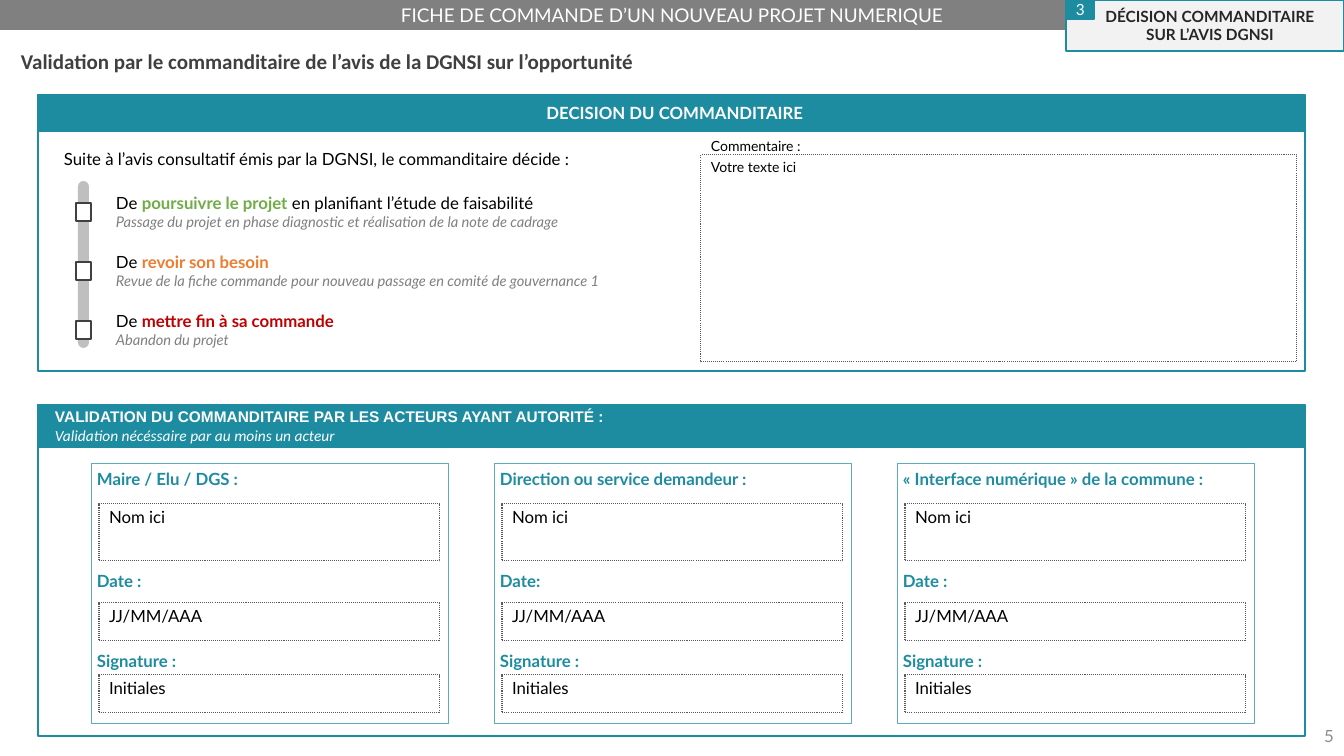
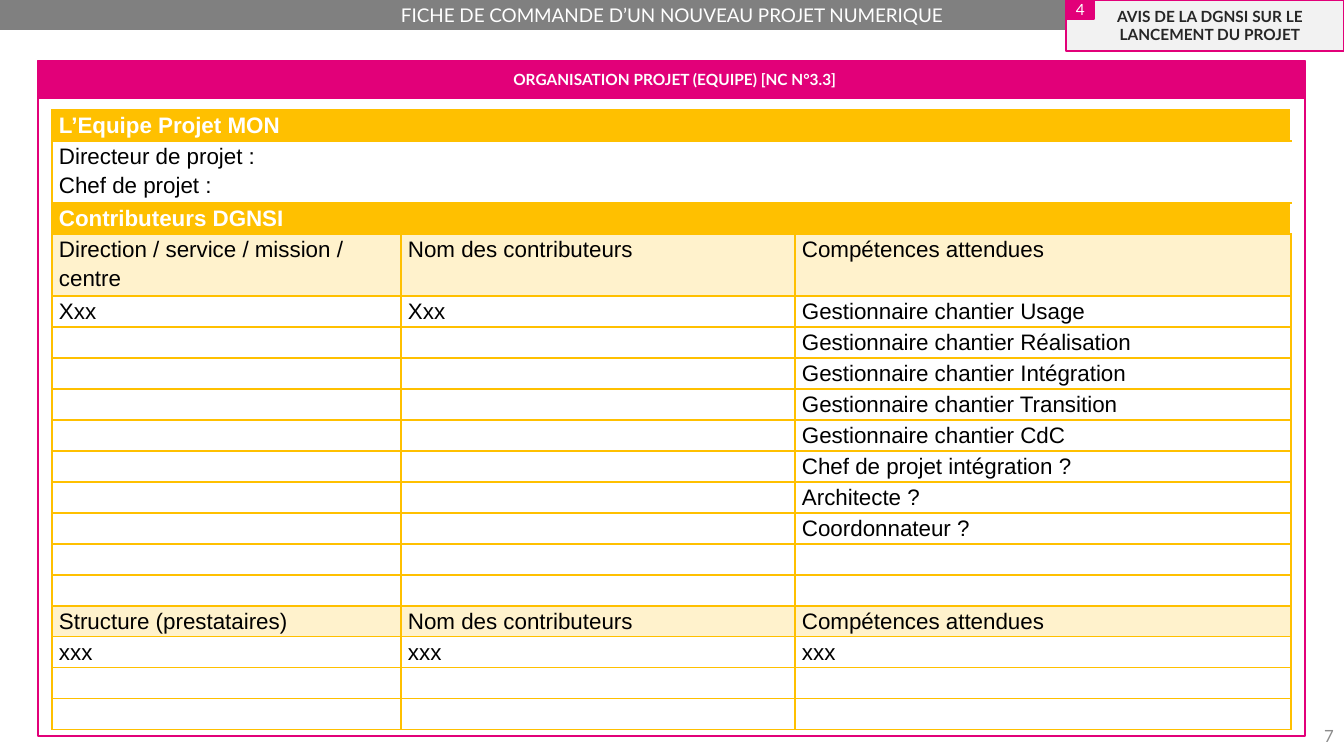
from lxml import etree
from pptx import Presentation
from pptx.dml.color import RGBColor
from pptx.enum.dml import MSO_LINE
from pptx.enum.shapes import MSO_SHAPE
from pptx.enum.text import MSO_ANCHOR, PP_ALIGN
from pptx.oxml.ns import qn
from pptx.util import Pt

RECT, ROUNDED = MSO_SHAPE.RECTANGLE, MSO_SHAPE.ROUNDED_RECTANGLE
TOP, MIDDLE = MSO_ANCHOR.TOP, MSO_ANCHOR.MIDDLE
LEFT, CENTER, RIGHT = PP_ALIGN.LEFT, PP_ALIGN.CENTER, PP_ALIGN.RIGHT
DOTTED = MSO_LINE.ROUND_DOT

WHITE = RGBColor(0xFF, 0xFF, 0xFF)
BLACK = RGBColor(0, 0, 0)
INK = RGBColor(0x26, 0x26, 0x26)
DARK = RGBColor(0x40, 0x40, 0x40)
FIELD_LINE = RGBColor(0x59, 0x59, 0x59)
GREY = RGBColor(0x80, 0x80, 0x80)
PAGE_GREY = RGBColor(0x8C, 0x8C, 0x8C)
RAIL_GREY = RGBColor(0xBF, 0xBF, 0xBF)
PALE_GREY = RGBColor(0xF2, 0xF2, 0xF2)
TEAL = RGBColor(0x1D, 0x8C, 0xA1)
LIGHT_TEAL = RGBColor(0x5D, 0xAC, 0xBC)
PINK = RGBColor(0xE2, 0x00, 0x79)
GREEN = RGBColor(0x70, 0xAD, 0x47)
ORANGE = RGBColor(0xED, 0x7D, 0x31)
RED = RGBColor(0xC0, 0x00, 0x00)
GOLD = RGBColor(0xFF, 0xC0, 0x00)
PALE_GOLD = RGBColor(0xFF, 0xF2, 0xCC)

SLIDE_W, SLIDE_H = 1344, 756
EMU_PER_PX = 12192000 / SLIDE_W
PANEL_X, PANEL_W, PANEL_BOTTOM = 38, 1267, 736
TIGHT = (3, 3, 3, 3)
ROW_H = 31

OPTIONS = [
    ("poursuivre le projet", GREEN, " en planifiant l’étude de faisabilité",
     "Passage du projet en phase diagnostic et réalisation de la note de cadrage"),
    ("revoir son besoin", ORANGE, "",
     "Revue de la fiche commande pour nouveau passage en comité de gouvernance 1"),
    ("mettre fin à sa commande", RED, "", "Abandon du projet"),
]
SIGNATORIES = [
    ("Maire / Elu / DGS :", "Date :"),
    ("Direction ou service demandeur :", "Date:"),
    ("« Interface numérique » de la commune :", "Date :"),
]
FIELDS = [("Nom ici", 504, 57), ("JJ/MM/AAA", 603, 38), ("Initiales", 675, 38)]

BLANK_ROW = ["", "", ""]
SKILLS = [
    "Gestionnaire chantier Réalisation", "Gestionnaire chantier Intégration",
    "Gestionnaire chantier Transition", "Gestionnaire chantier CdC",
    "Chef de projet intégration ?", "Architecte ?", "Coordonnateur ?", "", "",
]
# Each row is a fill and its texts; a single text spans the table.
TEAM_ROWS = [
    (GOLD, ["L’Equipe Projet MON"]),
    (WHITE, ["Directeur de projet :\nChef de projet :"]),
    (GOLD, ["Contributeurs DGNSI"]),
    (PALE_GOLD, ["Direction / service / mission / centre", "Nom des contributeurs",
                 "Compétences attendues"]),
    (WHITE, ["Xxx", "Xxx", "Gestionnaire chantier Usage"]),
    *[(WHITE, ["", "", skill]) for skill in SKILLS],
    (PALE_GOLD, ["Structure (prestataires)", "Nom des contributeurs",
                 "Compétences attendues"]),
    (WHITE, ["xxx", "xxx", "xxx"]),
    (WHITE, BLANK_ROW),
    (WHITE, BLANK_ROW),
]
TALL_ROWS = (1, 3)


def px(n):
    return round(n * EMU_PER_PX)


def write(tf, text, size=12, color=BLACK, bold=False, italic=False, font="Lato",
          align=LEFT, before=0, spacing=None):
    """Add a paragraph; text is a string or a list of (string, colour, bold) runs."""
    p = tf.paragraphs[0]
    if p.runs:
        p = tf.add_paragraph()
    p.alignment = align
    if before:
        p.space_before = Pt(before)
    if spacing:
        p.line_spacing = spacing
    runs = [(text, color, bold)] if isinstance(text, str) else text
    for content, run_color, run_bold in runs:
        if not content:
            continue
        r = p.add_run()
        r.text = content
        r.font.name, r.font.size = font, Pt(size)
        r.font.bold, r.font.italic = run_bold, italic
        r.font.color.rgb = run_color
    if not p.runs:
        etree.SubElement(p._p, qn("a:endParaRPr"), sz=str(size * 100))


def frame_text(sp, anchor, insets):
    tf = sp.text_frame
    tf.word_wrap = True
    tf.vertical_anchor = anchor
    (tf.margin_left, tf.margin_top,
     tf.margin_right, tf.margin_bottom) = (px(n) for n in insets)
    return tf


def add_box(s, x, y, w, h, fill=None, line=None, width=1.5, dash=None, kind=RECT,
            anchor=MIDDLE, insets=(10, 5, 10, 5)):
    """Draw a shape and return its text frame."""
    sp = s.shapes.add_shape(kind, px(x), px(y), px(w), px(h))
    sp.shadow.inherit = False
    if kind == ROUNDED:
        sp.adjustments[0] = 0.5
    if fill is None:
        sp.fill.background()
    else:
        sp.fill.solid()
        sp.fill.fore_color.rgb = fill
    if line is None:
        sp.line.fill.background()
    else:
        sp.line.color.rgb = line
        sp.line.width = Pt(width)
        if dash:
            sp.line.dash_style = dash
    return frame_text(sp, anchor, insets)


def add_label(s, x, y, w, h, anchor=TOP, insets=(10, 5, 10, 5)):
    sp = s.shapes.add_textbox(px(x), px(y), px(w), px(h))
    return frame_text(sp, anchor, insets)


def add_field(s, x, y, w, h, hint, size=12):
    tf = add_box(s, x, y, w, h, line=FIELD_LINE, width=0, dash=DOTTED, anchor=TOP)
    write(tf, hint, size=size, spacing=0.9)


def add_panel(s, y, bottom, header_h, color, insets=(17, 5, 10, 5)):
    """Draw a framed panel and return the text frame of its header."""
    add_box(s, PANEL_X, y, PANEL_W, bottom - y, line=color)
    return add_box(s, PANEL_X, y, PANEL_W, header_h, fill=color, line=color,
                   insets=insets)


def add_page(prs, page, step, step_lines, accent):
    """Add a slide with the top band, the step tab and the page number."""
    s = prs.slides.add_slide(prs.slide_layouts[6])
    tf = add_box(s, 0, 0, SLIDE_W, 30, fill=GREY)
    write(tf, "FICHE DE COMMANDE D’UN NOUVEAU PROJET NUMERIQUE", size=13.5,
          color=WHITE, align=CENTER)
    tf = add_label(s, 1042, 716, 302, 40, anchor=MIDDLE)
    write(tf, page, color=PAGE_GREY, align=RIGHT)
    tf = add_box(s, 1066, 0, 278, 51, fill=PALE_GREY, line=accent,
                 insets=(13, 3, 3, 3))
    for text in step_lines:
        write(tf, text, size=11, color=INK, bold=True, align=CENTER)
    tf = add_box(s, 1066, 0, 28, 19, fill=accent, line=accent, width=1)
    write(tf, step, size=11, color=WHITE, align=CENTER)
    return s


def add_option(s, y, choice, color, rest, detail):
    add_box(s, 76, y + 19, 15, 18, fill=WHITE, line=DARK)
    tf = add_label(s, 113, y, 534, 55, anchor=MIDDLE, insets=TIGHT)
    write(tf, [("De ", BLACK, False), (choice, color, True), (rest, BLACK, False)])
    write(tf, detail, size=10.5, color=GREY, italic=True)


def add_signatory(s, x, who, date_label):
    tf = add_box(s, x, 463, 357, 260, line=LIGHT_TEAL, width=0.25, anchor=TOP,
                 insets=(6, 6, 6, 3))
    for text, before in ((who, 0), (date_label, 58), ("Signature :", 43)):
        write(tf, text, color=TEAL, bold=True, before=before)
    for hint, y, h in FIELDS:
        add_field(s, x + 8, y, 341, h, hint)


def set_borders(cell, sides):
    tcPr = cell._tc.get_or_add_tcPr()
    for side in sides:
        ln = etree.SubElement(tcPr, qn("a:ln" + side), w=str(Pt(1)))
        fill = etree.SubElement(ln, qn("a:solidFill"))
        etree.SubElement(fill, qn("a:srgbClr"), val=str(GOLD))


def add_team_table(s, x, y, widths):
    table = s.shapes.add_table(len(TEAM_ROWS), len(widths), px(x), px(y),
                               px(sum(widths)), px(ROW_H * len(TEAM_ROWS))).table
    table.first_row = table.horz_banding = False
    for col, width in zip(table.columns, widths):
        col.width = px(width)
    for i, (fill, texts) in enumerate(TEAM_ROWS):
        table.rows[i].height = px(ROW_H * (2 if i in TALL_ROWS else 1))
        spans = len(texts) == 1
        if spans:
            table.cell(i, 0).merge(table.cell(i, len(widths) - 1))
        for j, text in enumerate(texts):
            cell = table.cell(i, j)
            cell.margin_left = cell.margin_right = px(7)
            cell.margin_top = cell.margin_bottom = 0
            set_borders(cell, "LTB" if spans else "LRTB")
            cell.fill.solid()
            cell.fill.fore_color.rgb = fill
            heading = fill == GOLD
            for line in text.split("\n"):
                write(cell.text_frame, line, size=16, font="Arial", bold=heading,
                      color=WHITE if heading else BLACK, spacing=1.15)


def build_decision(prs):
    s = add_page(prs, "5", "3", ["DÉCISION COMMANDITAIRE", "SUR L’AVIS DGNSI"], TEAL)
    tf = add_label(s, 11, 44, 660, 35)
    write(tf, "Validation par le commanditaire de l’avis de la DGNSI sur l’opportunité",
          size=15, color=DARK, bold=True, font="Calibri")

    tf = add_panel(s, 95, 371, 36, TEAL)
    write(tf, "DECISION DU COMMANDITAIRE", color=WHITE, bold=True, align=CENTER)
    tf = add_label(s, 61, 146, 564, 38, insets=TIGHT)
    write(tf, "Suite à l’avis consultatif émis par la DGNSI, le commanditaire décide :")
    add_box(s, 78, 181, 11, 167, fill=RAIL_GREY, kind=ROUNDED)
    for i, option in enumerate(OPTIONS):
        add_option(s, 184 + 59 * i, *option)
    tf = add_label(s, 701, 132, 129, 24)
    write(tf, "Commentaire :", size=10)
    add_field(s, 701, 155, 596, 207, "Votre texte ici", size=10)

    tf = add_panel(s, 405, PANEL_BOTTOM, 42, TEAL)
    write(tf, "VALIDATION DU COMMANDITAIRE PAR LES ACTEURS AYANT AUTORITÉ :",
          size=11, color=WHITE, bold=True, font="Arial")
    write(tf, "Validation nécéssaire par au moins un acteur", size=11, color=WHITE,
          italic=True, font="Calibri")
    for i, signatory in enumerate(SIGNATORIES):
        add_signatory(s, 91 + 403 * i, *signatory)


def build_team(prs):
    s = add_page(prs, "7", "4", ["AVIS DE LA DGNSI SUR LE LANCEMENT DU PROJET"], PINK)
    tf = add_panel(s, 61, PANEL_BOTTOM, 37, PINK, insets=(7, 5, 0, 5))
    write(tf, "ORGANISATION PROJET (EQUIPE) [NC N°3.3]", size=11, color=WHITE,
          bold=True, align=CENTER)
    add_team_table(s, 52, 110, (349, 394, 496))


def main():
    prs = Presentation()
    prs.slide_width, prs.slide_height = px(SLIDE_W), px(SLIDE_H)
    build_decision(prs)
    build_team(prs)
    prs.save("out.pptx")


if __name__ == "__main__":
    main()
